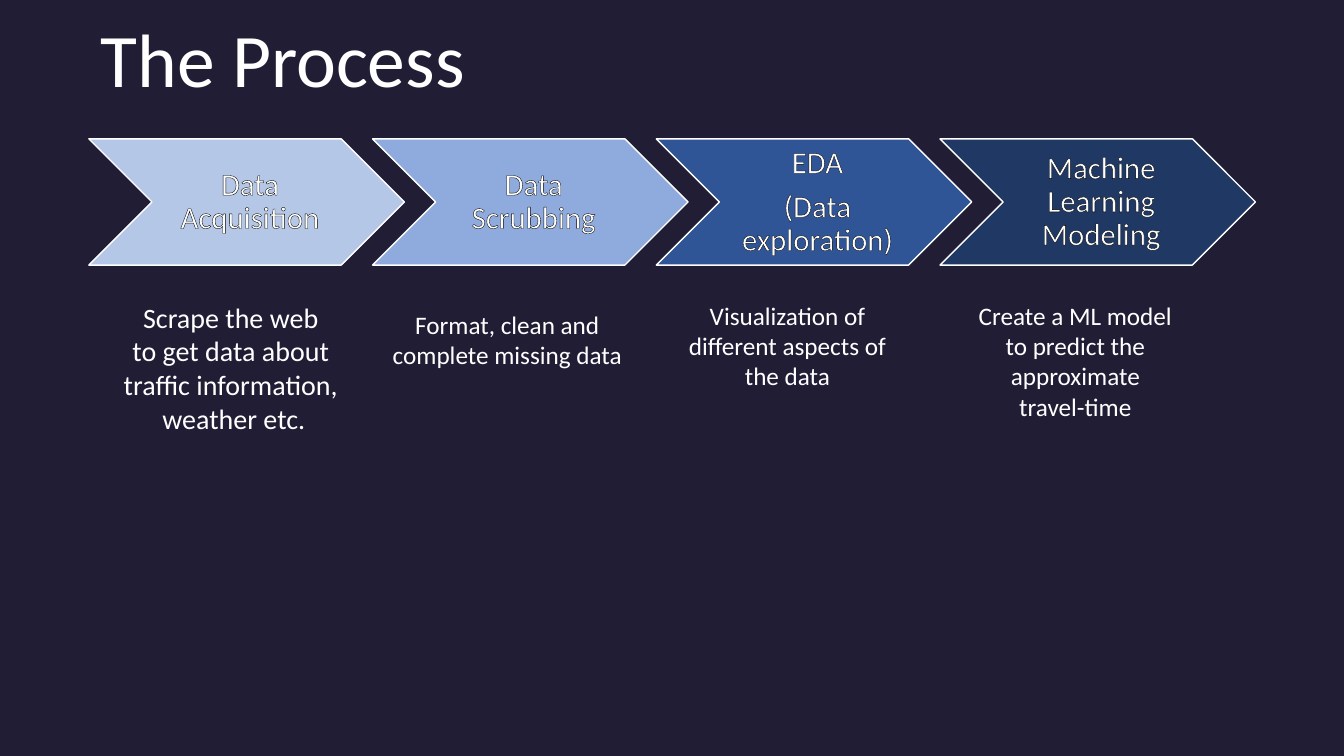
from lxml.etree import SubElement
from pptx import Presentation
from pptx.dml.color import RGBColor
from pptx.enum.shapes import MSO_SHAPE
from pptx.enum.text import MSO_ANCHOR, MSO_AUTO_SIZE, PP_ALIGN
from pptx.oxml.ns import qn
from pptx.util import Cm, Pt

STEPS = [
    ("B4C7E7", ["Data Acquisition"]),
    ("8FAADC", ["Data Scrubbing"]),
    ("2F5597", ["EDA", "(Data exploration)"]),
    ("203864", ["Machine Learning Modeling"]),
]
CAPTIONS = [
    (["Scrape the web ", "to get data about ", "traffic information, ", "weather etc."],
     (2.82, 7.44, 6.15, 3.68), 20, False),
    (["Format, clean and complete missing data"], (9.57, 7.67, 6.43, 1.8), 18, True),
    (["Visualization of different aspects of the data"], (16.63, 7.44, 6.43, 2.57), 18, True),
    (["Create a ML model to predict the approximate travel-time"],
     (24.38, 7.44, 5.44, 3.33), 18, True),
]


def color(value):
    """Turn a hex string into a colour."""
    return RGBColor.from_string(value)


def outline(r, value, width):
    """Draw a line around the letters of a run."""
    rPr = r._r.get_or_add_rPr()
    ln = SubElement(rPr, qn("a:ln"), w=str(Pt(width)))
    rPr.insert(0, ln)
    fill = SubElement(ln, qn("a:solidFill"))
    SubElement(fill, qn("a:srgbClr"), val=value)


def write(tf, lines, size=18, wrap=True, anchor=MSO_ANCHOR.TOP, spacing=1.0, after=0,
          edge=None, auto_size=MSO_AUTO_SIZE.SHAPE_TO_FIT_TEXT):
    """Fill a text frame with centred white paragraphs."""
    tf.word_wrap, tf.vertical_anchor, tf.auto_size = wrap, anchor, auto_size
    for i, text in enumerate(lines):
        p = tf.add_paragraph() if i else tf.paragraphs[0]
        p.alignment, p.line_spacing, p.space_after = PP_ALIGN.CENTER, spacing, Pt(after)
        r = p.add_run()
        r.text = text
        r.font.name, r.font.size = "Calibri", Pt(size)
        r.font.color.rgb = color("FFFFFF")
        if edge:
            outline(r, edge, 0.75)


def add_title(s, text, x, y, w, h):
    """Place the slide title in its box."""
    sp = s.shapes.title
    sp.left, sp.top, sp.width, sp.height = Cm(x), Cm(y), Cm(w), Cm(h)
    write(sp.text_frame, [text], size=54, wrap=False)


def add_step(shapes, fill, lines, x, y, w, h):
    """Draw one chevron with its label between the two points."""
    sp = shapes.add_shape(MSO_SHAPE.CHEVRON, Cm(x), Cm(y), Cm(w), Cm(h))
    sp.shadow.inherit = False
    sp.fill.solid()
    sp.fill.fore_color.rgb = color(fill)
    sp.line.color.rgb = color("FFFFFF")
    sp.line.width = Pt(1)
    tf = shapes.add_textbox(Cm(x + h / 2), Cm(y), Cm(w - h), Cm(h)).text_frame
    tf.margin_left = Cm(0.25)
    tf.margin_top = tf.margin_right = tf.margin_bottom = Cm(0.08)
    write(tf, lines, size=22, anchor=MSO_ANCHOR.MIDDLE, spacing=0.9, after=7.7,
          edge="000000", auto_size=MSO_AUTO_SIZE.NONE)


def add_process(s, x, y, w, h, pitch):
    """Draw the row of steps as one group."""
    shapes = s.shapes.add_group_shape().shapes
    for i, (fill, lines) in enumerate(STEPS):
        add_step(shapes, fill, lines, x + i * pitch, y, w, h)


def add_caption(s, lines, box, size, wrap):
    """Write the explanation under one step."""
    tb = s.shapes.add_textbox(*(Cm(v) for v in box))
    write(tb.text_frame, lines, size=size, wrap=wrap)


def main():
    """Build and save the slide."""
    prs = Presentation()
    prs.slide_width, prs.slide_height = Cm(33.87), Cm(19.05)
    s = prs.slides.add_slide(prs.slide_layouts[5])
    s.background.fill.solid()
    s.background.fill.fore_color.rgb = color("211D35")
    add_process(s, 2.24, 3.5, 7.95, 3.18, 7.15)
    add_title(s, "The Process", 2.24, 0.18, 9.78, 2.57)
    for caption in CAPTIONS:
        add_caption(s, *caption)
    prs.save("out.pptx")


if __name__ == "__main__":
    main()
